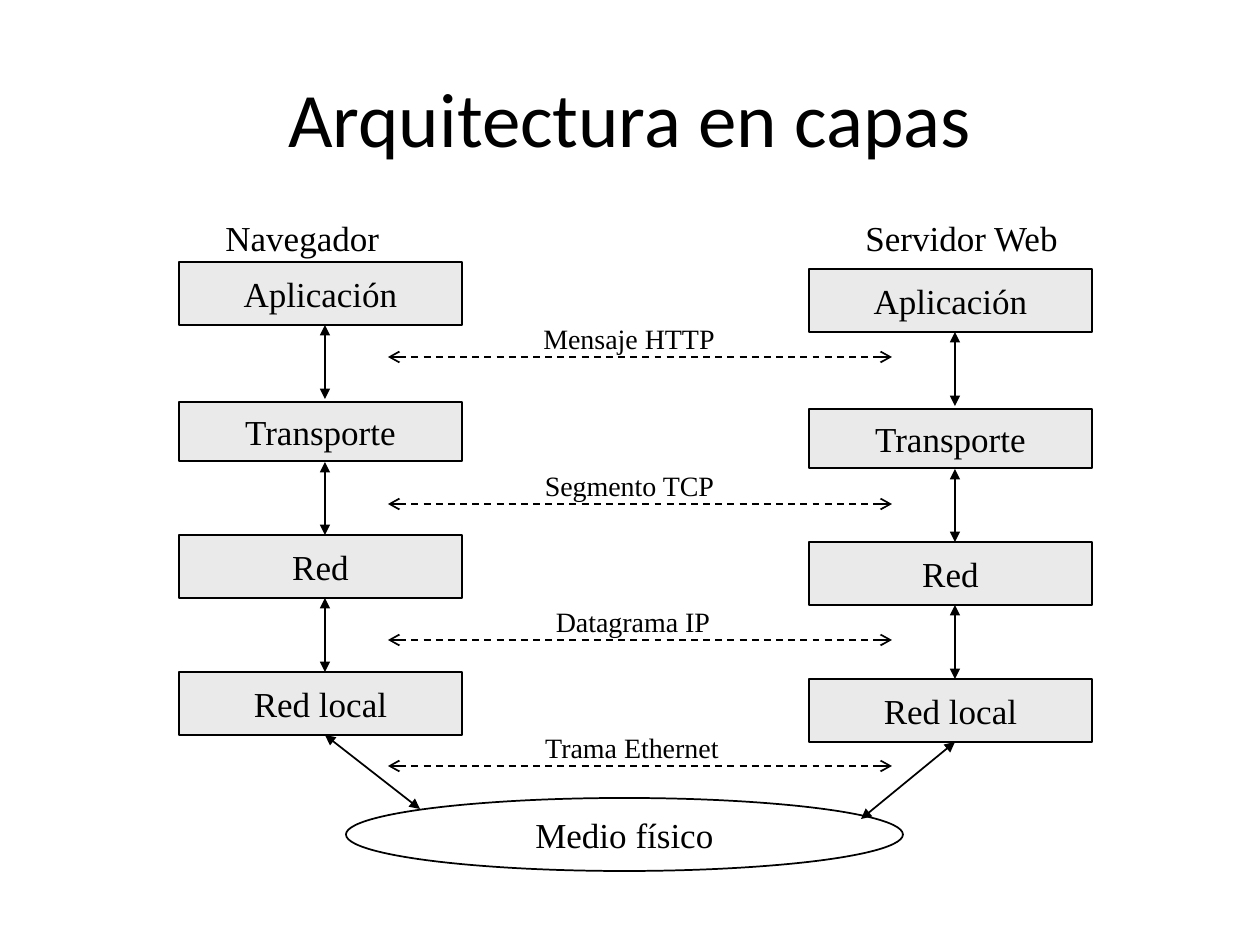
from lxml.etree import SubElement
from pptx import Presentation
from pptx.dml.color import RGBColor
from pptx.enum.dml import MSO_LINE
from pptx.enum.shapes import MSO_CONNECTOR, MSO_SHAPE
from pptx.enum.text import MSO_ANCHOR, MSO_AUTO_SIZE, PP_ALIGN
from pptx.oxml.ns import qn
from pptx.util import Emu, Pt

PX_PER_INCH = 126
BLACK = RGBColor(0x00, 0x00, 0x00)
WHITE = RGBColor(0xFF, 0xFF, 0xFF)
LIGHT_GRAY = RGBColor(0xEA, 0xEA, 0xEA)
TITLE_FONT = "Calibri"
BODY_FONT = "Times New Roman"

LAYERS = [("Aplicación", 262, 63), ("Transporte", 402, 59),
          ("Red", 535, 63), ("Red local", 672, 63)]
LAYER_LINKS = [(325, 399), (462, 535), (598, 672)]
STACKS = [("Navegador", 213, 179, 179, 0, (420, 809)),
          ("Servidor Web", 853, 221, 809, 7, (861, 819))]
MESSAGES = [("Mensaje HTTP", 530, 315, 198), ("Segmento TCP", 532, 462, 195),
            ("Datagrama IP", 543, 598, 180), ("Trama Ethernet", 532, 724, 200)]


def px(*lengths):
    """Turn pixel lengths into a list of EMU lengths."""
    return [Emu(round(length * 914400 / PX_PER_INCH)) for length in lengths]


def set_text(shape, text, size, font=BODY_FONT, align=PP_ALIGN.CENTER):
    """Write one formatted paragraph into a shape."""
    shape.text_frame.text = text
    paragraph = shape.text_frame.paragraphs[0]
    paragraph.alignment = align
    run_font = paragraph.runs[0].font
    run_font.name = font
    run_font.size = Pt(size)
    run_font.color.rgb = BLACK


def add_title(slide, text):
    """Place and format the title placeholder."""
    title = slide.shapes.title
    title.left, title.top, title.width, title.height = px(63, 38, 1134, 157)
    title.text_frame.vertical_anchor = MSO_ANCHOR.MIDDLE
    set_text(title, text, 44, TITLE_FONT)


def add_node(slide, kind, text, box, fill):
    """Add an outlined shape with centred text."""
    shape = slide.shapes.add_shape(kind, *px(*box))
    shape.shadow.inherit = False
    shape.fill.solid()
    shape.fill.fore_color.rgb = fill
    shape.line.color.rgb = BLACK
    shape.line.width = Pt(1)
    shape.text_frame.word_wrap = False
    shape.text_frame.vertical_anchor = MSO_ANCHOR.MIDDLE
    set_text(shape, text, 20)


def add_label(slide, text, box, size, align):
    """Add an unwrapped text box."""
    label = slide.shapes.add_textbox(*px(*box))
    label.text_frame.word_wrap = False
    label.text_frame.auto_size = MSO_AUTO_SIZE.SHAPE_TO_FIT_TEXT
    set_text(label, text, size, align=align)


def add_double_arrow(slide, start, end, head="triangle", dash=None):
    """Add a line with the same arrowhead at both ends."""
    connector = slide.shapes.add_connector(
        MSO_CONNECTOR.STRAIGHT, *px(*start, *end))
    connector.line.color.rgb = BLACK
    connector.line.width = Pt(1)
    if dash is not None:
        connector.line.dash_style = dash
    properties = connector._element.spPr
    line = properties.find(qn("a:ln"))
    for tag in ("a:headEnd", "a:tailEnd"):
        SubElement(line, qn(tag), type=head)
    SubElement(properties, qn("a:effectLst"))


def add_stack(slide, name, name_left, name_width, left, drop, medium_point):
    """Add one column of layers, linked down to the physical medium."""
    for text, top, height in LAYERS:
        add_node(slide, MSO_SHAPE.RECTANGLE, text,
                 (left, top + drop, 283, height), LIGHT_GRAY)
    link_x = left + 146
    for start, end in LAYER_LINKS:
        add_double_arrow(slide, (link_x, start + drop), (link_x, end + drop))
    add_double_arrow(slide, (link_x, 735 + drop), medium_point)
    add_label(slide, name, (name_left, 210, name_width, 54), 20, PP_ALIGN.LEFT)


def add_message(slide, text, left, top, width):
    """Add a dashed exchange between the stacks with its label."""
    line_y = top + 42
    add_double_arrow(slide, (388, line_y), (892, line_y), "arrow", MSO_LINE.DASH)
    add_label(slide, text, (left, top, width, 47), 16, PP_ALIGN.CENTER)


def main():
    """Build the layered architecture slide."""
    presentation = Presentation()
    presentation.slide_width, presentation.slide_height = px(1260, 945)
    slide = presentation.slides.add_slide(presentation.slide_layouts[5])
    add_title(slide, "Arquitectura en capas")
    add_node(slide, MSO_SHAPE.OVAL, "Medio físico", (346, 798, 557, 73), WHITE)
    for stack in STACKS:
        add_stack(slide, *stack)
    for message in MESSAGES:
        add_message(slide, *message)
    presentation.save("out.pptx")


if __name__ == "__main__":
    main()
